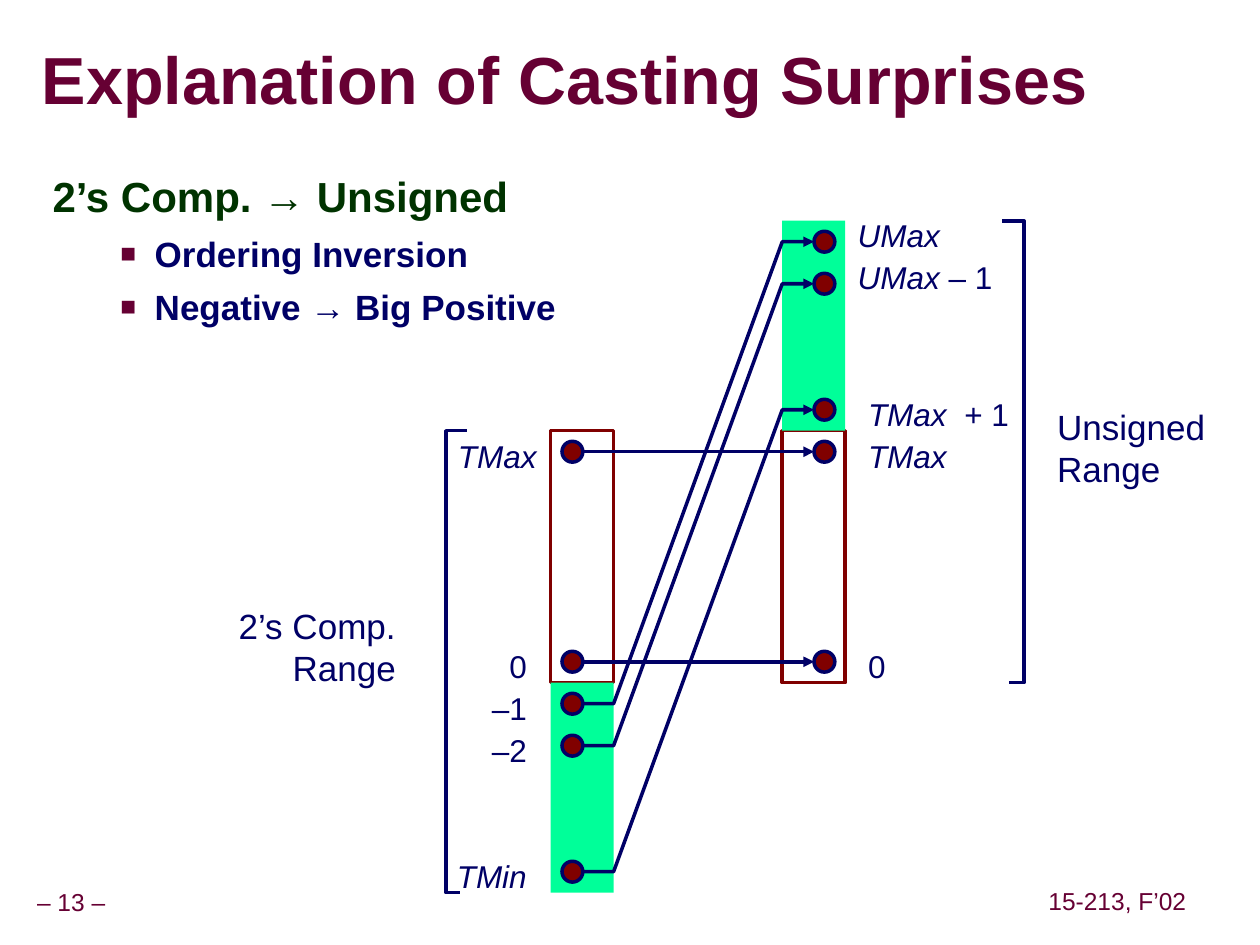
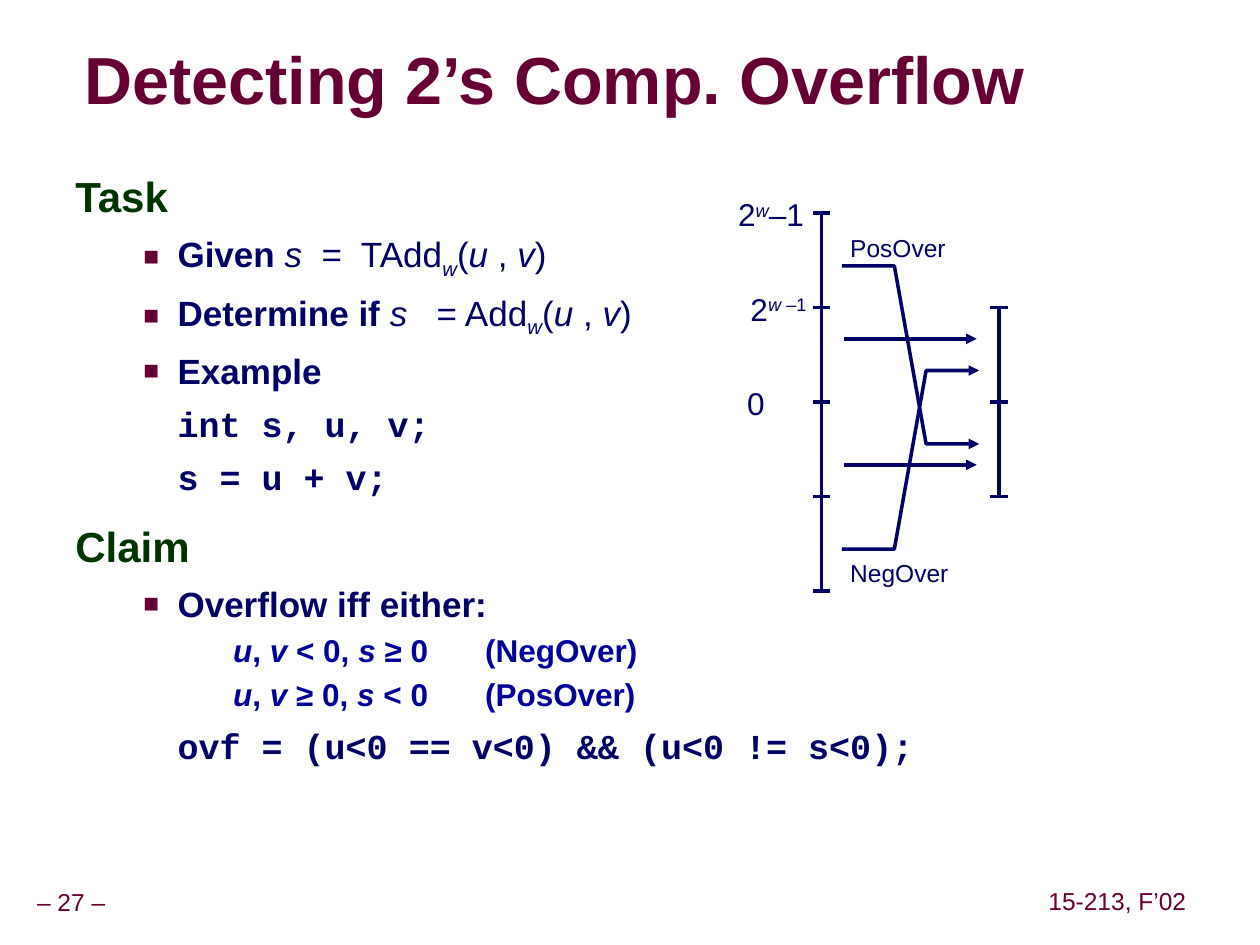
from lxml.etree import SubElement
from pptx import Presentation
from pptx.dml.color import RGBColor
from pptx.enum.shapes import MSO_CONNECTOR, MSO_SHAPE
from pptx.enum.text import MSO_ANCHOR, MSO_AUTO_SIZE, PP_ALIGN
from pptx.oxml.ns import qn
from pptx.util import Cm, Pt

HUES = {"wine": "660033", "navy": "000066", "blue": "000099", "forest": "003300",
        "maroon": "800000", "mint": "00FF99", "white": "FFFFFF"}
INK = {name: RGBColor.from_string(code) for name, code in HUES.items()}
SHIFTS = {"^": "30000", "_": "-25000"}
LEFT, MID, RIGHT = PP_ALIGN.LEFT, PP_ALIGN.CENTER, PP_ALIGN.RIGHT

# size, hue, margin, indent, space before, line spacing
KINDS = {
    "head": (24, "forest", 0, 0, 15, 0.95),
    "item": (20, "navy", 2.06, -0.69, 6.2, 1.0),
    "code": (20, "navy", 2.06, 0, 6.2, 1.0),
    "case": (18, "blue", 3.18, 0, 2.2, 1.07),
}


def write(par, runs, size, hue):
    """Add (text, marks) runs; marks: b bold, i italic, m mono, ^ raised, _ lowered."""
    for text, marks in runs:
        run = par.add_run()
        run.text = text
        font = run.font
        font.name = "Courier New" if "m" in marks else "Arial"
        font.size = Pt(size)
        font.bold = "b" in marks
        font.italic = "i" in marks
        font.color.rgb = INK[hue]
        for mark in SHIFTS:
            if mark in marks:
                run._r.get_or_add_rPr().set("baseline", SHIFTS[mark])


def draw(slide, points, arrow=False):
    """Draw a navy line through points given in centimetres."""
    spots = [(Cm(x), Cm(y)) for x, y in points]
    if len(spots) == 2:
        path = slide.shapes.add_connector(MSO_CONNECTOR.STRAIGHT, *spots[0], *spots[1])
    else:
        form = slide.shapes.build_freeform(*spots[0])
        form.add_line_segments(spots[1:], close=False)
        path = form.convert_to_shape()
        path.fill.background()
    path.line.color.rgb = INK["navy"]
    path.line.width = Pt(2)
    props = path._element.spPr
    if arrow:
        SubElement(props.find(qn("a:ln")), qn("a:tailEnd"), type="triangle")
    SubElement(props, qn("a:effectLst"))


deck = Presentation()
deck.slide_width, deck.slide_height = Cm(25.4), Cm(19.05)

# Casting diagram: 16 rows shared by both bars
TOP, ROW = 4.45, 2.54 / 3
SIGNED, PLAIN, BAR = 11.1, 15.77, 1.27
DOT, NEAR, FAR = 0.42, 11.54, 16.62
rows = [TOP + ROW * n for n in range(17)]

# Overflow diagram: ticks on two scales
ticks = [4.29 + 1.905 * n for n in range(5)]

cast_body = [
    ("head", [("2’s Comp. → Unsigned", "b")]),
    ("item", [("Ordering Inversion", "b")]),
    ("item", [("Negative → Big Positive", "b")]),
]
args = [("w", "i_"), ("(", ""), ("u", "i"), (" , ", ""), ("v", "i"), (")", "")]
over_body = [
    ("head", [("Task", "b")]),
    ("item", [("Given ", "b"), ("s", "i"), ("  =  TAdd", "")] + args),
    ("item", [("Determine if ", "b"), ("s   ", "i"), ("= Add", "")] + args),
    ("item", [("Example", "b")]),
    ("code", [("int s, u, v;", "bm")]),
    ("code", [("s = u + v;", "bm")]),
    ("head", [("Claim", "b")]),
    ("item", [("Overflow iff either:", "b")]),
    ("case", [("u", "bi"), (", ", "b"), ("v", "bi"), (" < 0, ", "b"),
              ("s ", "bi"), ("≥ 0\t(NegOver)", "b")]),
    ("case", [("u", "bi"), (", ", "b"), ("v ", "bi"), ("≥ 0, ", "b"),
              ("s", "bi"), (" < 0\t(PosOver)", "b")]),
    ("code", [("ovf = (u<0 == v<0) && (u<0 != s<0);", "bm")]),
]

# left, top, width, alignment, size, lines of runs
cast_tags = [
    (8.77, rows[5], 2.3, RIGHT, 18, [[("TMax", "i")]]),
    (8.77, rows[10], 2.1, RIGHT, 18, [[("0", "")]]),
    (8.77, rows[11], 2.1, RIGHT, 18, [[("–1", "")]]),
    (8.77, rows[12], 2.1, RIGHT, 18, [[("–2", "")]]),
    (8.77, rows[15], 2.1, RIGHT, 18, [[("TMin", "i")]]),
    (17.04, rows[0] - 0.21, 2.54, LEFT, 18, [[("UMax", "i")]]),
    (17.04, rows[1] - 0.21, 4, LEFT, 18, [[("UMax", "i"), (" – 1", "")]]),
    (17.25, rows[4], 3.6, LEFT, 18, [[("TMax  ", "i"), ("+ 1", "")]]),
    (17.25, rows[5], 2.3, LEFT, 18, [[("TMax", "i")]]),
    (17.25, rows[10], 2.1, LEFT, 18, [[("0", "")]]),
    (4.23, 12.07, 4, RIGHT, 20, [[("2’s Comp.", "")], [("Range", "")]]),
    (21.06, 8.05, 3.8, LEFT, 20, [[("Unsigned", "")], [("Range", "")]]),
]
over_tags = [
    (14.63, 3.81, 2.1, LEFT, 18, [[("2", ""), ("w", "i^"), ("–1", "")]]),
    (14.88, 5.72, 2.1, LEFT, 18, [[("2", ""), ("w ", "i^"), ("–1", "^")]]),
    (14.81, 7.62, 1, LEFT, 18, [[("0", "")]]),
    (16.89, 4.57, 2.7, LEFT, 14, [[("PosOver", "")]]),
    (16.89, 11.13, 2.7, LEFT, 14, [[("NegOver", "")]]),
]

# number, title, title left, body left, body width, body height, body, labels
pages = [
    (13, "Explanation of Casting Surprises", 0.84, 0.81, 11.56, 4.78, cast_body, cast_tags),
    (27, "Detecting 2’s Comp. Overflow", 1.7, 1.27, 21.41, 13.03, over_body, over_tags),
]

for number, heading, edge, left, width, height, body, tags in pages:
    slide = deck.slides.add_slide(deck.slide_layouts[5])

    title = slide.shapes.title
    title.left, title.top = Cm(edge), Cm(0.89)
    title.width, title.height = Cm(22.92 - edge), Cm(1.58)
    frame = title.text_frame
    frame.auto_size = MSO_AUTO_SIZE.NONE
    frame.vertical_anchor = MSO_ANCHOR.MIDDLE
    frame.margin_left = frame.margin_right = frame.margin_top = frame.margin_bottom = 0
    par = frame.paragraphs[0]
    par.alignment, par.line_spacing = LEFT, 0.87
    write(par, [(heading, "b")], 38, "wine")
    glow = SubElement(par.runs[0]._r.rPr, qn("a:effectLst"))
    par.runs[0]._r.rPr.find(qn("a:solidFill")).addnext(glow)
    cast = SubElement(glow, qn("a:outerShdw"), dist="38100", dir="2700000")
    SubElement(cast, qn("a:srgbClr"), val="999999")

    frame = slide.shapes.add_textbox(Cm(left), Cm(3.38), Cm(width), Cm(height)).text_frame
    frame.word_wrap = True
    for n, (kind, runs) in enumerate(body):
        size, hue, margin, indent, before, spacing = KINDS[kind]
        par = frame.add_paragraph() if n else frame.paragraphs[0]
        props = par._p.get_or_add_pPr()
        props.set("marL", str(Cm(margin)))
        props.set("indent", str(Cm(indent)))
        if kind == "item":
            tint = SubElement(props, qn("a:buClr"))
            SubElement(tint, qn("a:srgbClr"), val=HUES["wine"])
            SubElement(props, qn("a:buSzPct"), val="75000")
            SubElement(props, qn("a:buFont"), typeface="Arial")
            SubElement(props, qn("a:buChar"), char="■")
        elif kind == "case":
            stops = SubElement(props, qn("a:tabLst"))
            SubElement(stops, qn("a:tab"), pos=str(Cm(8.26)), algn="l")
        par.line_spacing = spacing
        par.space_before = Pt(before if n else 0)
        write(par, runs, size, hue)

    if body is cast_body:
        for x, first, last, hue in [(PLAIN, 5, 11, "white"), (SIGNED, 5, 11, "white"),
                                    (SIGNED, 11, 16, "mint"), (PLAIN, 0, 5, "mint")]:
            bar = slide.shapes.add_shape(MSO_SHAPE.RECTANGLE, Cm(x), Cm(rows[first]),
                                         Cm(BAR), Cm(rows[last] - rows[first]))
            bar.shadow.inherit = False
            bar.fill.solid()
            bar.fill.fore_color.rgb = INK[hue]
            if hue == "white":
                bar.line.color.rgb = INK["maroon"]
                bar.line.width = Pt(2)
            else:
                bar.line.fill.background()

        for start, end in [(5, 5), (10, 10), (11, 0), (12, 1), (15, 4)]:
            ys = [rows[start] + ROW / 2, rows[end] + ROW / 2]
            for x, y in zip((NEAR, FAR), ys):
                dot = slide.shapes.add_shape(MSO_SHAPE.OVAL, Cm(x - DOT / 2),
                                             Cm(y - DOT / 2), Cm(DOT), Cm(DOT))
                dot.shadow.inherit = False
                dot.fill.solid()
                dot.fill.fore_color.rgb = INK["maroon"]
                dot.line.color.rgb = INK["navy"]
                dot.line.width = Pt(2)
            bends = [] if start == end else [(SIGNED + BAR, ys[0]), (PLAIN, ys[1])]
            draw(slide, [(NEAR + DOT / 2, ys[0]), *bends, (FAR - DOT / 2, ys[1])], True)

        draw(slide, [(9.27, rows[16]), (8.99, rows[16]), (8.99, rows[5]), (9.42, rows[5])])
        draw(slide, [(20.35, rows[11]), (20.64, rows[11]), (20.64, rows[0]), (20.21, rows[0])])
    else:
        for x, marks in [(16.56, ticks), (20.14, ticks[1:4])]:
            draw(slide, [(x, marks[0]), (x, marks[-1])])
            for y in marks:
                draw(slide, [(x - 0.18, y), (x + 0.18, y)])
        for y in (6.83, 9.37):
            draw(slide, [(17.02, y), (19.69, y)], True)
        for start, end in [(5.36, 8.95), (11.07, 7.47)]:
            draw(slide, [(16.97, start), (18.03, start), (18.67, end), (19.74, end)], True)

    foot = [(0.2, 17.76, 2.47, MID, 14, [[(f"– {number} –", "")]]),
            (20.7, 17.74, 3.65, MID, 14, [[("15-213, F’02", "")]])]
    for x, y, wide, align, size, lines in tags + foot:
        high = 0.25 + 0.042 * size * len(lines)
        frame = slide.shapes.add_textbox(Cm(x), Cm(y), Cm(wide), Cm(high)).text_frame
        frame.word_wrap = True
        for n, runs in enumerate(lines):
            par = frame.add_paragraph() if n else frame.paragraphs[0]
            par.alignment = align
            write(par, runs, size, "navy" if tags.count((x, y, wide, align, size, lines)) else "wine")

deck.save("out.pptx")
